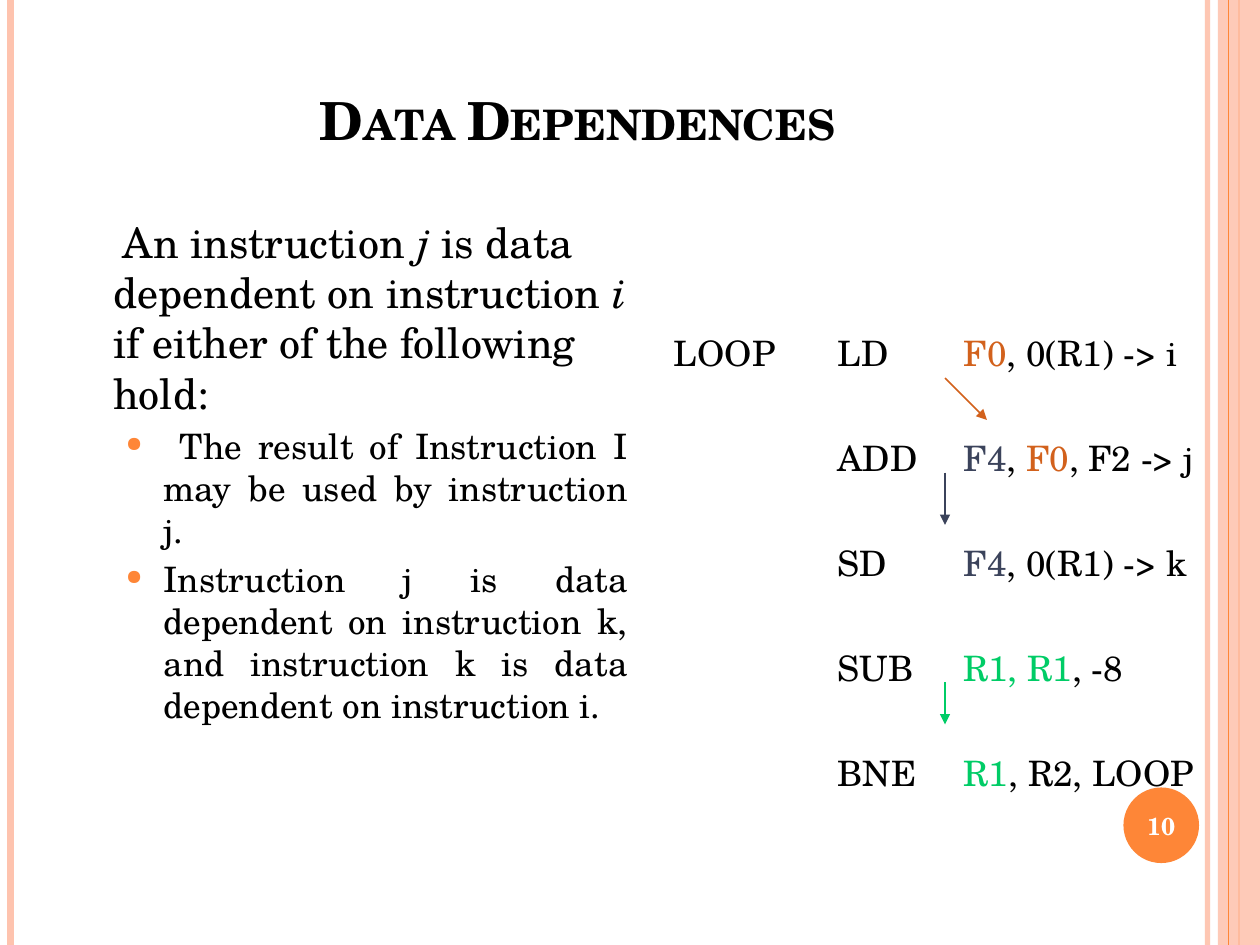
from lxml import etree
from pptx import Presentation
from pptx.dml.color import RGBColor
from pptx.enum.shapes import MSO_CONNECTOR, MSO_SHAPE
from pptx.enum.text import MSO_ANCHOR, MSO_AUTO_SIZE, PP_ALIGN
from pptx.oxml.ns import qn
from pptx.util import Pt

STRAIGHT = MSO_CONNECTOR.STRAIGHT
RECTANGLE, OVAL = MSO_SHAPE.RECTANGLE, MSO_SHAPE.OVAL
MIDDLE, BOTTOM = MSO_ANCHOR.MIDDLE, MSO_ANCHOR.BOTTOM
CENTER, JUSTIFY = PP_ALIGN.CENTER, PP_ALIGN.JUSTIFY
NO_AUTOFIT = MSO_AUTO_SIZE.NONE

FONT = "TeX Gyre Schola"
BLACK = RGBColor(0x00, 0x00, 0x00)
WHITE = RGBColor(0xFF, 0xFF, 0xFF)
ORANGE = RGBColor(0xFE, 0x86, 0x37)
PEACH = RGBColor(0xFE, 0xC3, 0xAE)
RUST = RGBColor(0xD2, 0x61, 0x1C)
NAVY = RGBColor(0x3B, 0x43, 0x5B)
GREEN = RGBColor(0x00, 0xCC, 0x66)

CONDITIONS = [
    " The result of Instruction I may be used by instruction j.",
    "Instruction j is data dependent on instruction k, and instruction k "
    "is data dependent on instruction i.",
]
INSTRUCTIONS = [
    [("LOOP\tLD\t", BLACK), ("F0", RUST), (", 0(R1) -> i", BLACK)],
    [("\t\tADD\t", BLACK), ("F4", NAVY), (", ", BLACK), ("F0", RUST), (", F2 -> j", BLACK)],
    [("\t\tSD\t", BLACK), ("F4", NAVY), (", 0(R1) -> k", BLACK)],
    [("\t\tSUB\t", BLACK), ("R1, R1", GREEN), (", -8", BLACK)],
    [("\t\tBNE\t", BLACK), ("R1", GREEN), (", R2, LOOP", BLACK)],
]
DEPENDENCE_ARROWS = [
    (30, 24, 24, RUST),
    (84, 0, 30, NAVY),
    (204, 0, 24, GREEN),
]


def style_run(run, size, color=BLACK, bold=False, italic=False):
    """Apply the slide font to a run."""
    run.font.name = FONT
    run.font.size = Pt(size)
    run.font.color.rgb = color
    run.font.bold = bold
    run.font.italic = italic


def add_styled_run(paragraph, text, size, color=BLACK, italic=False):
    """Append one formatted run."""
    run = paragraph.add_run()
    run.text = text
    style_run(run, size, color, italic=italic)


def add_line(slide, start, end, color, width, arrow=False):
    """Draw a straight line, with an arrowhead at its end if asked."""
    line = slide.shapes.add_connector(STRAIGHT, *(Pt(value) for value in (*start, *end)))
    line.line.color.rgb = color
    line.line.width = Pt(width)
    properties = line._element.spPr
    if arrow:
        etree.SubElement(properties.find(qn("a:ln")), qn("a:tailEnd"), type="triangle")
    etree.SubElement(properties, qn("a:effectLst"))
    return line


def add_filled(slide, kind, box, color):
    """Draw a borderless filled shape."""
    shape = slide.shapes.add_shape(kind, *(Pt(value) for value in box))
    shape.shadow.inherit = False
    shape.fill.solid()
    shape.fill.fore_color.rgb = color
    shape.line.fill.background()
    return shape


def set_opacity(properties, percent):
    """Make the solid colour inside a fill or line partly transparent."""
    color = next(properties.iter(qn("a:srgbClr")))
    etree.SubElement(color, qn("a:alpha"), val=str(percent * 1000))


def add_text_box(slide, box):
    """Add a wrapping text box and return its frame."""
    frame = slide.shapes.add_textbox(*(Pt(value) for value in box)).text_frame
    frame.word_wrap = True
    return frame


def set_indent(paragraph, margin, first_line):
    """Set the left margin and first-line indent."""
    properties = paragraph._p.get_or_add_pPr()
    properties.set("marL", str(Pt(margin)))
    properties.set("indent", str(Pt(first_line)))
    return properties


def add_borders(slide, box):
    """Draw the vertical stripes at both edges."""
    left, top, width, height = box
    right, bottom = left + width, top + height

    def stripe(x, color, weight):
        return add_line(slide, (x, top), (x, bottom), color, weight)

    set_opacity(stripe(right - 30, PEACH, 3)._element.spPr, 93)
    stripe(left + 6, PEACH, 4.5)
    stripe(right - 12, ORANGE, 1.5)
    band = add_filled(slide, RECTANGLE, (right - 24, top, 24, height), PEACH)
    set_opacity(band._element.spPr, 87)
    stripe(right - 18, ORANGE, 0.75)


def add_page_number(slide, box, number):
    """Draw the round page badge."""
    badge = add_filled(slide, OVAL, box, ORANGE)
    frame = badge.text_frame
    frame.margin_left = frame.margin_right = 0
    frame.vertical_anchor = MIDDLE
    frame.text = number
    frame.paragraphs[0].alignment = CENTER
    style_run(frame.paragraphs[0].runs[0], 14, WHITE, bold=True)


def place_title(slide, box, text):
    """Place the small-caps title."""
    title = slide.shapes.title
    title.left, title.top, title.width, title.height = (Pt(value) for value in box)
    frame = title.text_frame
    frame.text = text
    frame.auto_size = NO_AUTOFIT
    frame.vertical_anchor = BOTTOM
    frame.paragraphs[0].alignment = CENTER
    run = frame.paragraphs[0].runs[0]
    style_run(run, 30, bold=True)
    run._r.get_or_add_rPr().set("cap", "small")


def add_definition(slide, box):
    """Write the definition and its bulleted conditions."""
    frame = add_text_box(slide, box)
    definition = frame.paragraphs[0]
    set_indent(definition, 21.6, 5.5)
    for text, italic in (
        ("An instruction ", False),
        ("j", True),
        (" is data dependent on instruction ", False),
        ("i", True),
        (" if either of the following hold:", False),
    ):
        add_styled_run(definition, text, 24, italic=italic)
    for text in CONDITIONS:
        condition = frame.add_paragraph()
        condition.level = 1
        condition.alignment = JUSTIFY
        condition.space_before = Pt(4)
        properties = set_indent(condition, 50.4, -21.6)
        bullet_color = etree.SubElement(properties, qn("a:buClr"))
        etree.SubElement(bullet_color, qn("a:srgbClr"), val=str(ORANGE))
        etree.SubElement(properties, qn("a:buSzPct"), val="60000")
        etree.SubElement(properties, qn("a:buChar"), char="\u25cf")
        add_styled_run(condition, text, 20)


def add_code(slide, box):
    """Write the instruction listing and its dependence arrows."""
    left, top = box[:2]
    frame = add_text_box(slide, box)
    for index, pieces in enumerate(INSTRUCTIONS):
        instruction = frame.add_paragraph() if index else frame.paragraphs[0]
        instruction.space_before = Pt(36 if index else 0)
        set_indent(instruction, 21.6, -21.6).set("defTabSz", str(Pt(72)))
        for text, color in pieces:
            add_styled_run(instruction, text, 20, color)
    arrow_x = left + 162
    for offset, run_x, drop, color in DEPENDENCE_ARROWS:
        start = (arrow_x, top + offset)
        end = (arrow_x + run_x, top + offset + drop)
        add_line(slide, start, end, color, 1, arrow=True)


def main():
    """Build and save the slide."""
    deck = Presentation()
    deck.slide_width, deck.slide_height = Pt(720), Pt(540)
    slide = deck.slides.add_slide(deck.slide_layouts.get_by_name("Title Only"))
    add_borders(slide, (0, 0, 720, 540))
    add_page_number(slide, (642, 450, 43.2, 43.2), "10")
    place_title(slide, (36, 21.6, 588, 68.4), "Data Dependences")
    add_definition(slide, (36, 120, 330, 324))
    add_code(slide, (378, 186, 342, 324))
    deck.save("out.pptx")


main()
